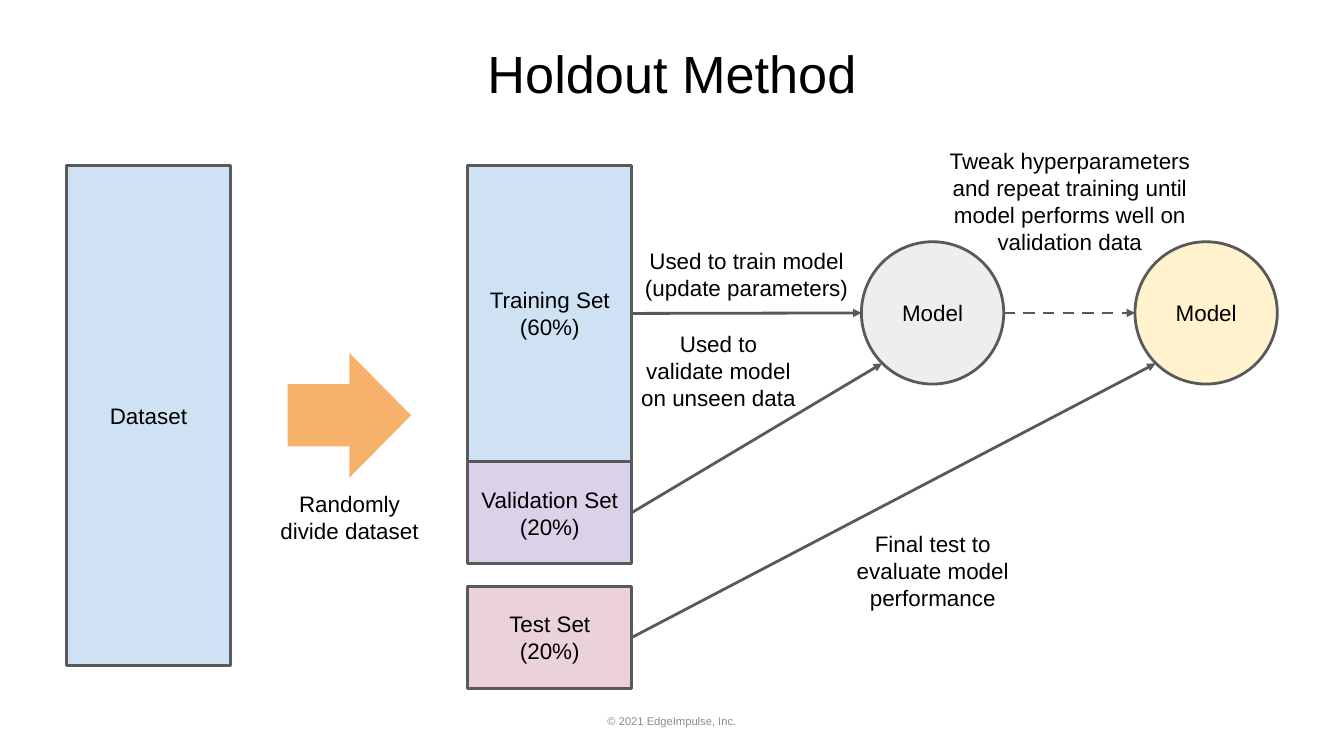
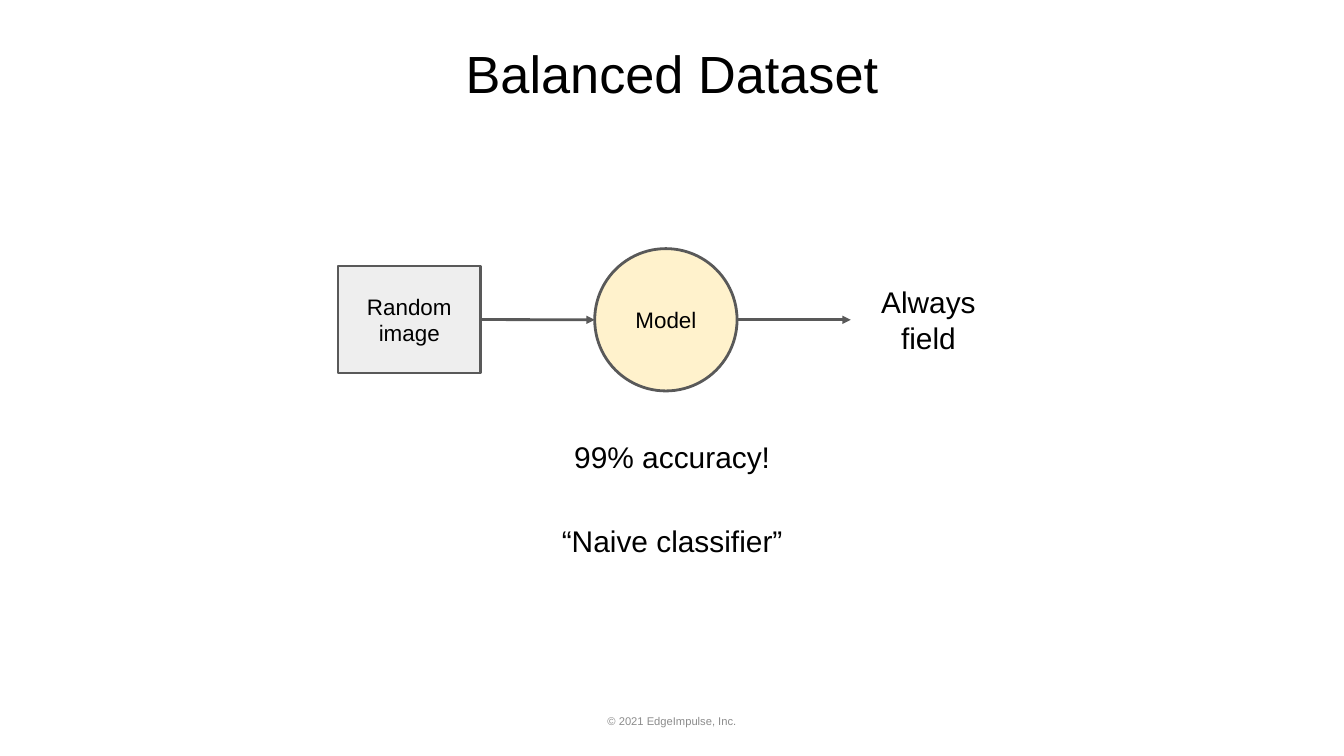
from lxml.etree import SubElement
from pptx import Presentation
from pptx.dml.color import RGBColor
from pptx.enum.dml import MSO_LINE as Dash
from pptx.enum.shapes import MSO_CONNECTOR as Connector, MSO_SHAPE as Shape
from pptx.enum.text import MSO_ANCHOR as Anchor, PP_ALIGN as Align
from pptx.oxml.ns import qn
from pptx.util import Cm, Pt

COLORS = {
    "text": "000000", "footer": "8C8C8C", "line": "595959",
    "blue": "CFE2F3", "purple": "D9D2E9", "pink": "EAD1DC",
    "gray": "EEEEEE", "yellow": "FFF2CC", "orange": "F6B26B",
}
WIDTH, HEIGHT = 50.8, 28.58
CIRCLE = 5.38  # diameter of a model, also the width of its input
DIAGONAL = 0.71


def color(name):
    return RGBColor.from_string(COLORS[name])


def port(shape, across, down=0):
    """Point of a shape counted from its centre, in half widths and heights."""
    return (shape.left + int(shape.width * (1 + across) / 2),
            shape.top + int(shape.height * (1 + down) / 2))


class Deck:
    font = "Arial"
    line_width = Pt(3)

    def __init__(self):
        self.show = Presentation()
        self.show.slide_width, self.show.slide_height = Cm(WIDTH), Cm(HEIGHT)
        self.page = None

    def add_page(self, title):
        self.page = self.show.slides.add_slide(self.show.slide_layouts[6])
        self.text(1.73, 1.04, 47.35, 3.18, [title], size=56, inset=0.51, anchor=Anchor.TOP)
        self.text(17.35, 26.5, 16.1, 1.52, ["© 2021 EdgeImpulse, Inc."], size=12, ink="footer")

    def add_lines(self, shape, lines, size=24, ink="text", inset=0.25, anchor=Anchor.MIDDLE):
        """Fill a shape with centred text, one paragraph for each line."""
        frame = shape.text_frame
        frame.word_wrap = True
        frame.vertical_anchor = anchor
        frame.margin_left = frame.margin_right = Cm(inset)
        frame.margin_top = frame.margin_bottom = Cm(inset)
        for number, line in enumerate(lines):
            para = frame.add_paragraph() if number else frame.paragraphs[0]
            para.alignment = Align.CENTER
            span = para.add_run()
            span.text = line
            span.font.name, span.font.size = self.font, Pt(size)
            span.font.color.rgb = color(ink)

    def text(self, left, top, width, height, lines, **style):
        box = self.page.shapes.add_textbox(Cm(left), Cm(top), Cm(width), Cm(height))
        self.add_lines(box, lines, **style)

    def shape(self, kind, left, top, width, height, fill, lines=(), outlined=True):
        shape = self.page.shapes.add_shape(kind, Cm(left), Cm(top), Cm(width), Cm(height))
        shape.shadow.inherit = False
        shape.fill.solid()
        shape.fill.fore_color.rgb = color(fill)
        if outlined:
            shape.line.color.rgb = color("line")
            shape.line.width = self.line_width
        else:
            shape.line.fill.background()
        self.add_lines(shape, lines)
        return shape

    def model(self, left, top, fill):
        return self.shape(Shape.OVAL, left, top, CIRCLE, CIRCLE, fill, ["Model"])

    def arrow(self, start, end, dashed=False):
        arrow = self.page.shapes.add_connector(Connector.STRAIGHT, *start, *end)
        arrow.line.color.rgb = color("line")
        arrow.line.width = self.line_width
        if dashed:
            arrow.line.dash_style = Dash.DASH
        properties = arrow._element.spPr
        SubElement(properties.get_or_add_ln(), qn("a:tailEnd"), type="triangle")
        SubElement(properties, qn("a:effectLst"))


def holdout_page(deck):
    deck.add_page("Holdout Method")
    top, width, part_height = 6.25, 6.2, 3.86
    deck.shape(Shape.RECTANGLE, 2.51, top, width, 18.92, "blue", ["Dataset"])
    parts = [
        ("Training Set", "(60%)", top, 11.2, "blue"),
        ("Validation Set", "(20%)", 17.45, part_height, "purple"),
        ("Test Set", "(20%)", 22.17, part_height, "pink"),
    ]
    training, validation, test = [
        deck.shape(Shape.RECTANGLE, 17.68, part_top, width, height, fill, [name, share])
        for name, share, part_top, height, fill in parts
    ]
    trained = deck.model(32.56, 9.14, "gray")
    tuned = deck.model(42.9, 9.14, "yellow")

    deck.arrow(port(training, 1), port(trained, -1))
    deck.arrow(port(validation, 1), port(trained, -DIAGONAL, DIAGONAL))
    deck.arrow(port(trained, 1), port(tuned, -1), dashed=True)
    deck.arrow(port(test, 1), port(tuned, -DIAGONAL, DIAGONAL))

    deck.text(23.34, 8.89, 9.75, 2.95, ["Used to train model", "(update parameters)"])
    deck.text(23.88, 12.34, 6.55, 3.35, ["Used to validate model", "on unseen data"])
    deck.text(34.77, 5.23, 11.33, 4.72, [
        "Tweak hyperparameters",
        "and repeat training until model performs well on",
        "validation data",
    ])
    deck.text(31.98, 19.89, 6.55, 3.35, ["Final test to evaluate model performance"])
    deck.shape(Shape.RIGHT_ARROW, 10.87, 13.34, 4.67, 4.72, "orange", outlined=False)
    deck.text(10.11, 18.06, width, 2.95, ["Randomly divide dataset"])


def balanced_page(deck):
    deck.add_page("Balanced Dataset")
    model = deck.model(22.48, 9.4, "yellow")
    image = deck.shape(Shape.RECTANGLE, 12.78, 10.06, CIRCLE, 4.04, "gray", ["Random image"])
    result_left, row = 32.16, 3.18
    deck.arrow(port(image, 1), port(model, -1))
    deck.arrow(port(model, 1), (Cm(result_left), port(model, 1)[1]))
    deck.text(result_left, 10.49, 5.87, row, ["Always field"], size=32)
    for number, remark in enumerate(["99% accuracy!", "“Naive classifier”"]):
        deck.text(19.02, 15.67 + number * row, 12.78, row, [remark], size=32)


def main():
    deck = Deck()
    holdout_page(deck)
    balanced_page(deck)
    deck.show.save("out.pptx")


if __name__ == "__main__":
    main()
